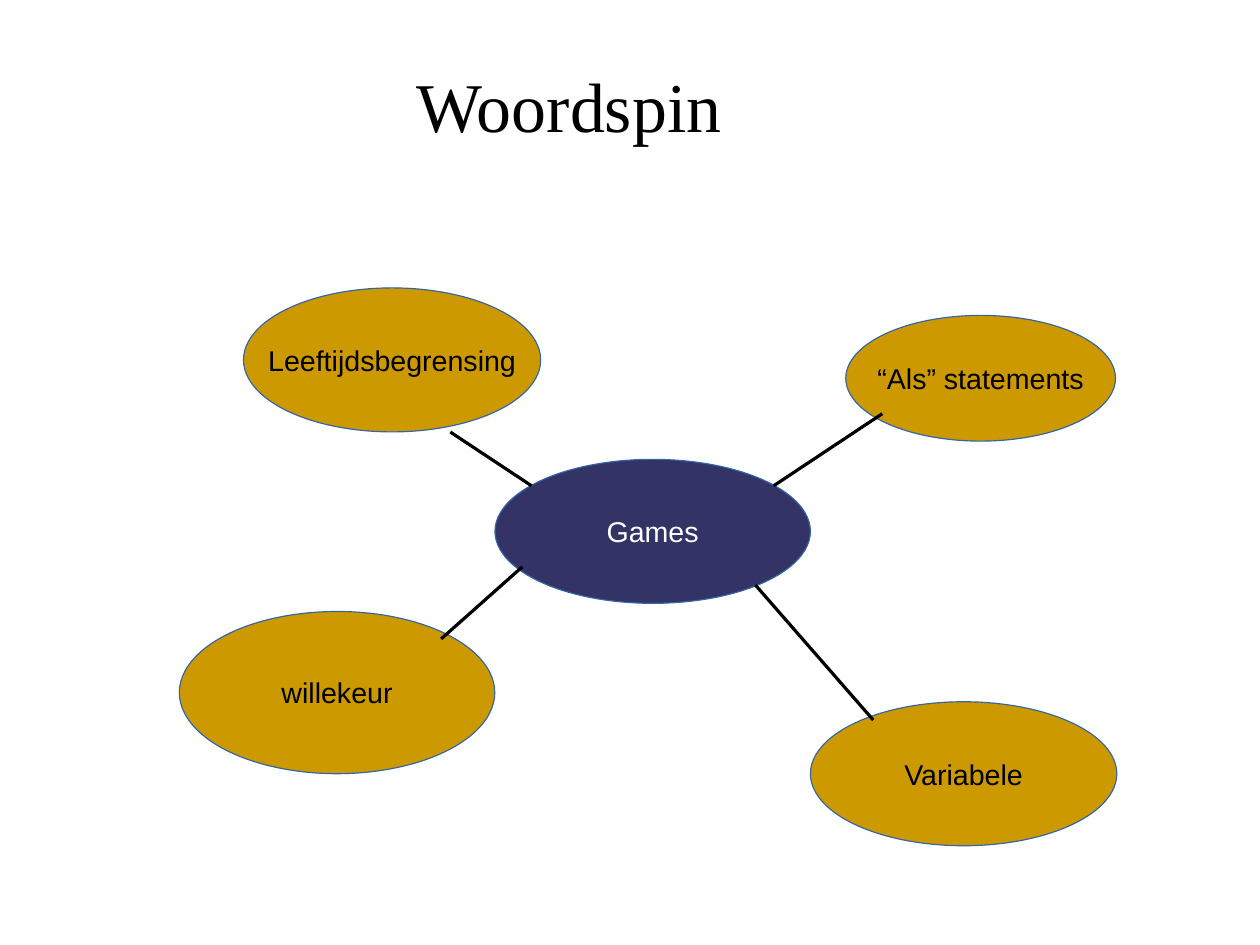
from dataclasses import dataclass
from typing import NamedTuple

from lxml.etree import SubElement
from pptx import Presentation
from pptx.dml.color import RGBColor
from pptx.enum.shapes import MSO_CONNECTOR, MSO_SHAPE
from pptx.enum.text import MSO_ANCHOR, PP_ALIGN
from pptx.oxml.ns import qn
from pptx.util import Pt


@dataclass(frozen=True)
class Theme:
    black: RGBColor = RGBColor(0, 0, 0)
    white: RGBColor = RGBColor(255, 255, 255)
    navy: RGBColor = RGBColor.from_string("333366")
    gold: RGBColor = RGBColor.from_string("CC9900")
    outline: RGBColor = RGBColor.from_string("3465A4")
    title_font: str = "Times New Roman"
    body_font: str = "Arial"
    title_size: float = 44
    body_size: float = 18
    hairline: float = 0


class Box(NamedTuple):
    left: float
    top: float
    width: float
    height: float

    def inside(self, outer):
        """Shift this box by the corner of the outer box."""
        return Box(outer.left + self.left, outer.top + self.top, self.width, self.height)

    def lengths(self):
        return [Pt(value) for value in self]


THEME = Theme()
PAGE_WIDTH, PAGE_HEIGHT = 793.7, 595.3
TITLE_BOX = Box(39.6, 22.4, 637.9, 87.1)
MAP_BOX = Box(113, 181.4, 590.5, 351.4)

CENTRE = ("Games", Box(198.8, 108, 198.7, 90.7))
# Each word: its text, its ellipse, and the start and end of its line, within the map.
WORDS = [
    ("“Als” statements", Box(419.8, 17.3, 169.9, 79.2), (374.4, 124.6), (442.8, 79.2)),
    ("Variabele", Box(397.5, 260.7, 193, 90.7), (362.9, 187.2), (437.1, 272.2)),
    ("willekeur", Box(0, 203.8, 198.7, 102.2), (216, 175.7), (164.9, 221.1)),
    ("Leeftijdsbegrensing", Box(40.4, 0, 187.2, 90.7), (221.8, 124.6), (170.7, 90.8)),
]


def apply_format(target, values):
    for name, value in values.items():
        setattr(target, name, value)


def write_text(shape, text, font, size, color, margins, wrap):
    frame = shape.text_frame
    side, edge = Pt(margins[0]), Pt(margins[1])
    apply_format(frame, {
        "word_wrap": wrap, "vertical_anchor": MSO_ANCHOR.MIDDLE,
        "margin_left": side, "margin_right": side,
        "margin_top": edge, "margin_bottom": edge,
    })
    para = frame.paragraphs[0]
    para.alignment = PP_ALIGN.CENTER
    span = para.add_run()
    span.text = text
    apply_format(span.font, {"name": font, "size": Pt(size)})
    span.font.color.rgb = color


def set_line(shape, color):
    shape.line.color.rgb = color
    shape.line.width = Pt(THEME.hairline)


def add_title(page, box, text):
    shape = page.shapes.add_textbox(*box.lengths())
    write_text(shape, text, THEME.title_font, THEME.title_size, THEME.black, (0, 0), True)


def add_bubble(page, box, text, fill, color):
    shape = page.shapes.add_shape(MSO_SHAPE.OVAL, *box.lengths())
    shape.shadow.inherit = False
    shape.fill.solid()
    shape.fill.fore_color.rgb = fill
    set_line(shape, THEME.outline)
    write_text(shape, text, THEME.body_font, THEME.body_size, color, (7.2, 3.6), False)


def add_link(page, box, start, end):
    """Draw a line between two points given within the box."""
    ends = [Pt(corner + offset) for point in (start, end)
            for corner, offset in zip((box.left, box.top), point)]
    link = page.shapes.add_connector(MSO_CONNECTOR.STRAIGHT, *ends)
    set_line(link, THEME.black)
    SubElement(link._element.spPr, qn("a:effectLst"))


def add_word_map(page, box):
    text, bubble = CENTRE
    add_bubble(page, bubble.inside(box), text, THEME.navy, THEME.white)
    for text, bubble, _, _ in WORDS:
        add_bubble(page, bubble.inside(box), text, THEME.gold, THEME.black)
    for _, _, start, end in WORDS:
        add_link(page, box, start, end)


def main():
    deck = Presentation()
    apply_format(deck, {"slide_width": Pt(PAGE_WIDTH), "slide_height": Pt(PAGE_HEIGHT)})
    page = deck.slides.add_slide(deck.slide_layouts[6])
    add_title(page, TITLE_BOX, "Woordspin")
    add_word_map(page, MAP_BOX)
    deck.save("out.pptx")


if __name__ == "__main__":
    main()
